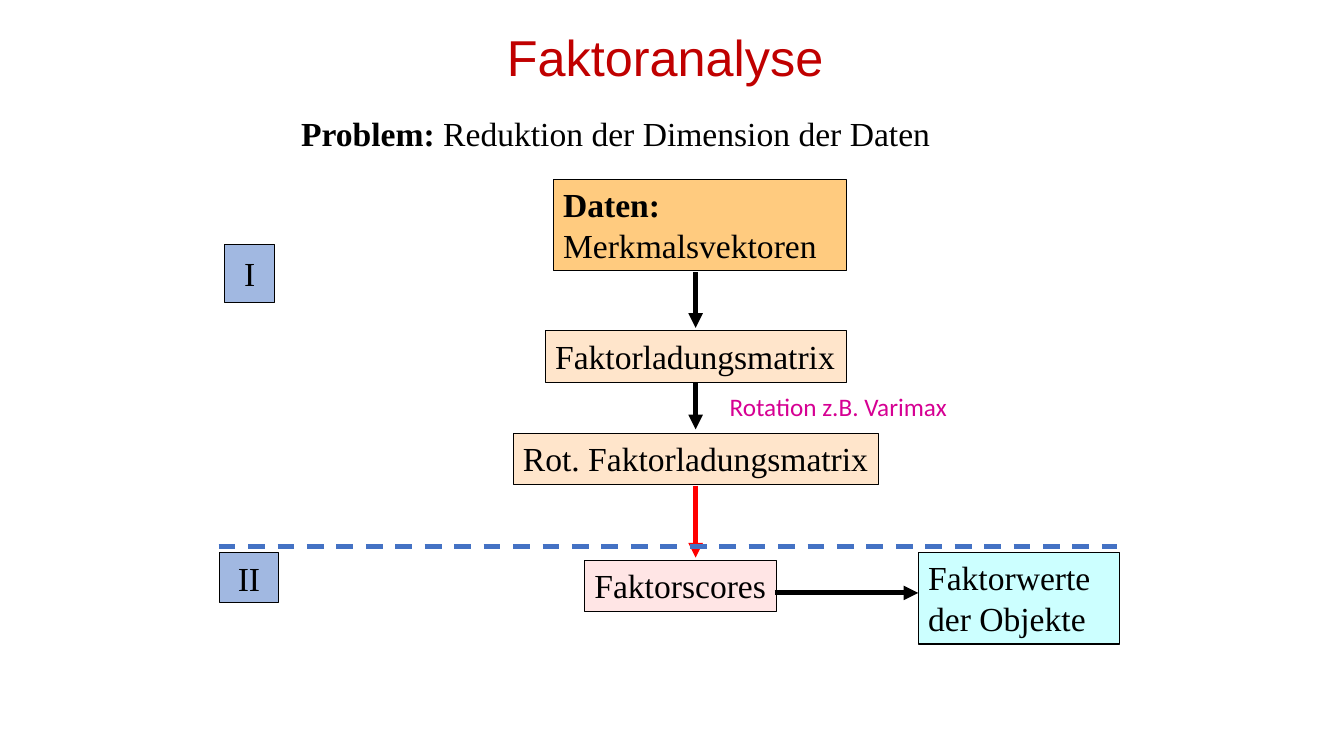
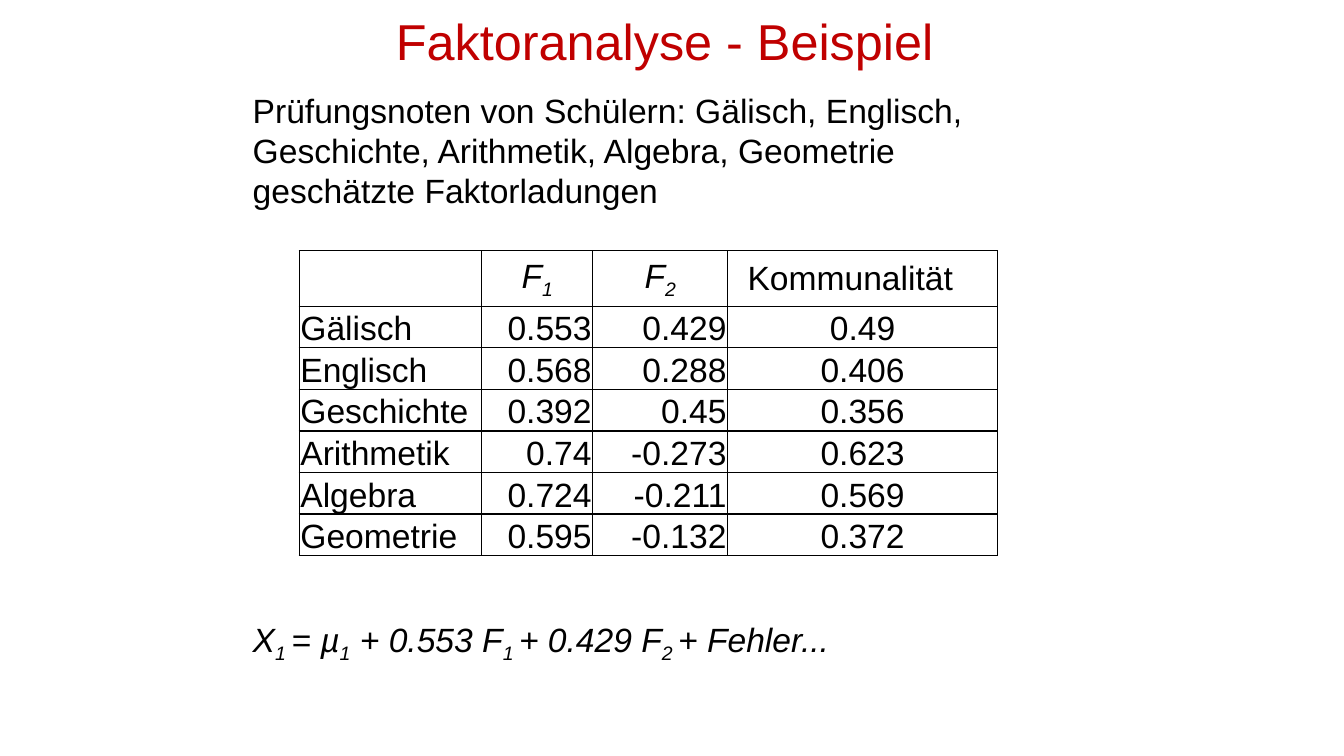
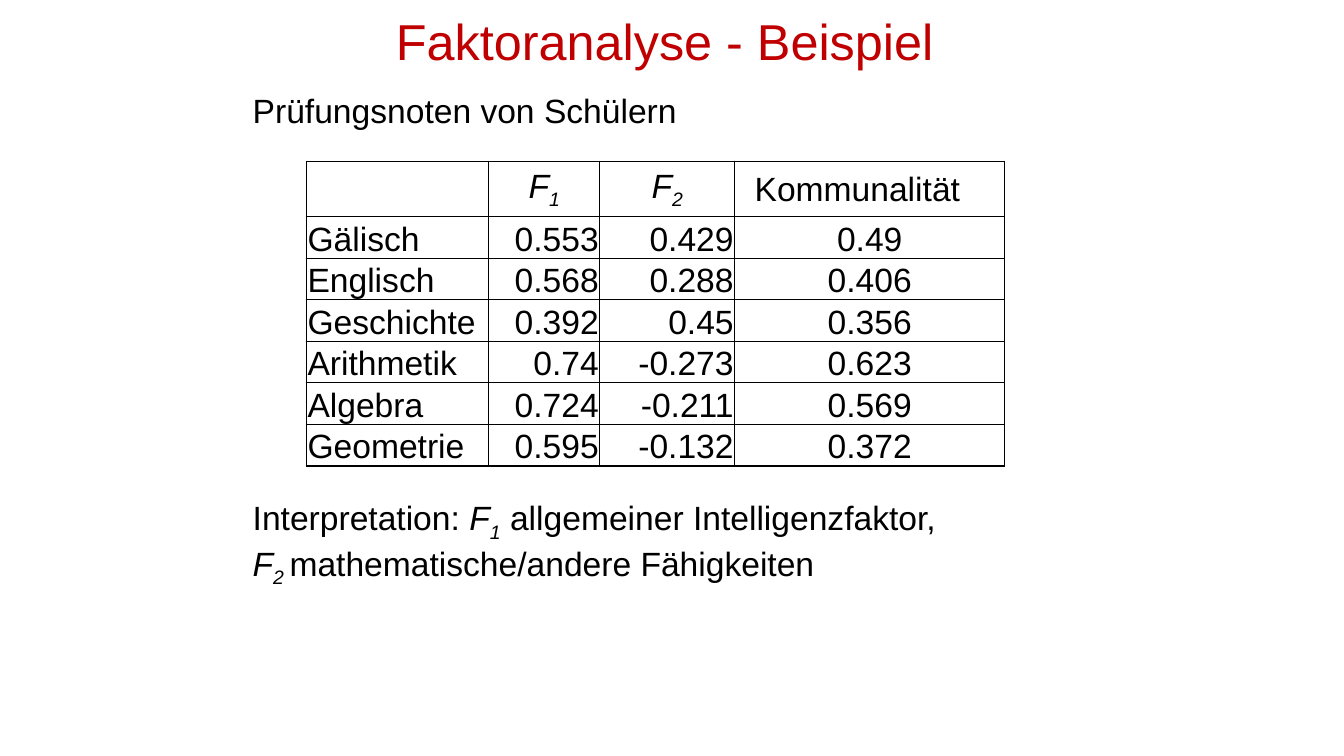
from lxml.etree import SubElement
from pptx import Presentation
from pptx.dml.color import RGBColor
from pptx.enum.dml import MSO_LINE
from pptx.enum.shapes import MSO_CONNECTOR, MSO_SHAPE
from pptx.enum.text import MSO_ANCHOR, MSO_AUTO_SIZE, PP_ALIGN
from pptx.oxml.ns import qn
from pptx.util import Cm, Pt

BLACK, RED, BLUE = "000000", "FF0000", "4472C4"
TITLE_RED, MAGENTA = "C00000", "D60093"
ORANGE, PEACH, PINK, CYAN = "FF9900", "FFCC99", "FFCCCC", "CCFFFF"
SANS, SERIF, LABEL_FONT = "Arial", "Times New Roman", "Calibri"
LEFT, CENTER, RIGHT = PP_ALIGN.LEFT, PP_ALIGN.CENTER, PP_ALIGN.RIGHT

FLOW_X = 17.53
BODY_LEFT, BODY_WIDTH = 6.12, 22.4
COLUMN_WIDTHS = [4.6, 2.8, 3.4, 6.8]
COLUMN_ALIGNS = [LEFT, RIGHT, RIGHT, CENTER]
HEADER_HEIGHT, ROW_HEIGHT = 1.4, 1.04

F1 = [("F", "i"), ("1", "is")]
F2 = [("F", "i"), ("2", "is")]
LOADINGS = [
    ("Gälisch", "0.553", "0.429", "0.49"),
    ("Englisch", "0.568", "0.288", "0.406"),
    ("Geschichte", "0.392", "0.45", "0.356"),
    ("Arithmetik", "0.74", "-0.273", "0.623"),
    ("Algebra", "0.724", "-0.211", "0.569"),
    ("Geometrie", "0.595", "-0.132", "0.372"),
]


def rgb(value):
    return RGBColor.from_string(value)


def write(frame, paragraphs, size=24, font=SANS, color=BLACK, align=LEFT,
          spacing=None):
    """Fill a text frame; each paragraph is a list of (text, marks).

    Marks: b is bold, i is italic, s is subscript.
    """
    for index, runs in enumerate(paragraphs):
        paragraph = frame.paragraphs[0] if index == 0 else frame.add_paragraph()
        paragraph.alignment = align
        if spacing:
            paragraph.line_spacing = spacing
        for text, marks in runs:
            run = paragraph.add_run()
            run.text = text
            run.font.size = Pt(size)
            run.font.name = font
            run.font.color.rgb = rgb(color)
            run.font.bold = "b" in marks
            run.font.italic = "i" in marks
            if "s" in marks:
                run.font._element.set("baseline", "-25000")


def plain(text):
    return [[(text, "")]]


def add_text(slide, area, paragraphs, wrap=True, anchor=MSO_ANCHOR.TOP, **style):
    frame = slide.shapes.add_textbox(*map(Cm, area)).text_frame
    frame.word_wrap = wrap
    frame.vertical_anchor = anchor
    write(frame, paragraphs, **style)


def add_title(slide, text, area=(4.93, 0.33, 24, 1.57)):
    add_text(slide, area, plain(text), anchor=MSO_ANCHOR.MIDDLE, size=36,
             color=TITLE_RED, align=CENTER, spacing=0.9)


def add_box(slide, area, paragraphs, fill, opacity=50, wrap=False,
            anchor=MSO_ANCHOR.TOP, align=LEFT):
    box = slide.shapes.add_shape(MSO_SHAPE.RECTANGLE, *map(Cm, area))
    box.shadow.inherit = False
    box.fill.solid()
    box.fill.fore_color.rgb = rgb(fill)
    if opacity < 100:
        color = box._element.spPr.find(qn("a:solidFill"))[0]
        SubElement(color, qn("a:alpha"), val=str(opacity * 1000))
    box.line.color.rgb = rgb(BLACK)
    box.line.width = Pt(0.75)
    frame = box.text_frame
    frame.word_wrap = wrap
    frame.vertical_anchor = anchor
    if anchor == MSO_ANCHOR.TOP:
        frame.auto_size = MSO_AUTO_SIZE.SHAPE_TO_FIT_TEXT
    write(frame, paragraphs, font=SERIF, align=align)


def add_line(slide, ends, color=BLACK, width=3.5, arrow=True):
    line = slide.shapes.add_connector(MSO_CONNECTOR.STRAIGHT, *map(Cm, ends))
    line.line.color.rgb = rgb(color)
    line.line.width = Pt(width)
    if arrow:
        SubElement(line.line._get_or_add_ln(), qn("a:tailEnd"), type="triangle")
    else:
        line.line.dash_style = MSO_LINE.DASH
    SubElement(line._element.spPr, qn("a:effectLst"))


def add_borders(cell):
    properties = cell._tc.get_or_add_tcPr()
    for side in ("lnL", "lnR", "lnT", "lnB"):
        border = SubElement(properties, qn(f"a:{side}"), w=str(Pt(1)))
        fill = SubElement(border, qn("a:solidFill"))
        SubElement(fill, qn("a:srgbClr"), val=BLACK)


def format_cell(cell, anchor, indent=0.03):
    add_borders(cell)
    cell.fill.background()
    cell.vertical_anchor = anchor
    cell.margin_left = Cm(indent)
    cell.margin_right = cell.margin_top = Cm(0.03)
    cell.margin_bottom = 0


def add_loadings_table(slide, left, top):
    height = HEADER_HEIGHT + ROW_HEIGHT * len(LOADINGS)
    table = slide.shapes.add_table(
        len(LOADINGS) + 1, len(COLUMN_WIDTHS),
        Cm(left), Cm(top), Cm(sum(COLUMN_WIDTHS)), Cm(height)).table
    table.first_row = table.horz_banding = False
    for column, width in zip(table.columns, COLUMN_WIDTHS):
        column.width = Cm(width)
    for index, row in enumerate(table.rows):
        row.height = Cm(ROW_HEIGHT if index else HEADER_HEIGHT)

    headings = [([], LEFT, 0.03), (F1, CENTER, 0.03), (F2, CENTER, 0.03),
                ([("Kommunalität", "")], LEFT, 0.5)]
    for cell, (runs, align, indent) in zip(table.rows[0].cells, headings):
        format_cell(cell, MSO_ANCHOR.MIDDLE, indent)
        write(cell.text_frame, [runs], align=align)
    for index, values in enumerate(LOADINGS, start=1):
        for cell, value, align in zip(table.rows[index].cells, values, COLUMN_ALIGNS):
            format_cell(cell, MSO_ANCHOR.BOTTOM)
            write(cell.text_frame, plain(value), align=align)


def build_overview(slide):
    add_title(slide, "Faktoranalyse ", (5.51, 0.53, 22.86, 1.96))
    add_text(slide, (7.34, 2.72, 16.36, 1.27),
             [[("Problem:", "b"), (" Reduktion der Dimension der Daten", "")]],
             wrap=False, font=SERIF)

    add_box(slide, (13.94, 4.52, 7.39, 2.31),
            [[("Daten:", "b")], [("Merkmalsvektoren", "")]], ORANGE, wrap=True)
    add_box(slide, (13.74, 8.33, 7.59, 1.3), plain("Faktorladungsmatrix"), PEACH)
    add_box(slide, (12.93, 10.92, 9.22, 1.3), plain("Rot. Faktorladungsmatrix"), PEACH)
    add_box(slide, (14.73, 14.12, 4.85, 1.3), plain("Faktorscores"), PINK)
    add_box(slide, (23.14, 13.92, 5.08, 2.31), plain("Faktorwerte der Objekte"),
            CYAN, opacity=100, wrap=True)
    for area, phase in (((5.66, 6.15, 1.27, 1.47), "I"),
                        ((5.54, 13.92, 1.47, 1.27), "II")):
        add_box(slide, area, plain(phase), BLUE, anchor=MSO_ANCHOR.MIDDLE, align=CENTER)

    for start, end, color in ((6.86, 8.26, BLACK), (9.63, 10.82, BLACK),
                              (12.24, 14.05, RED)):
        add_line(slide, (FLOW_X, start, FLOW_X, end), color)
    add_line(slide, (19.53, 14.94, 23.14, 14.94))
    add_line(slide, (5.51, 13.77, 28.14, 13.77), BLUE, width=3, arrow=False)
    add_text(slide, (18.14, 9.73, 6.83, 1.02), plain("Rotation z.B. Varimax"),
             wrap=False, size=18, font=LABEL_FONT, color=MAGENTA)


def build_example(slide, intro, table_place, conclusion_top, conclusion):
    add_title(slide, "Faktoranalyse - Beispiel ")
    add_text(slide, (BODY_LEFT, 2.13, BODY_WIDTH, 1.3 * len(intro)),
             [[(text, "")] for text in intro])
    add_loadings_table(slide, *table_place)
    add_text(slide, (BODY_LEFT, conclusion_top, BODY_WIDTH, 1.3 * len(conclusion)),
             conclusion)


def main():
    deck = Presentation()
    deck.slide_width, deck.slide_height = Cm(33.87), Cm(19.05)
    overview, example, interpretation = (
        deck.slides.add_slide(deck.slide_layouts[6]) for _ in range(3))

    build_overview(overview)
    build_example(
        example,
        ["Prüfungsnoten von Schülern: Gälisch, Englisch, Geschichte, "
         "Arithmetik, Algebra, Geometrie", "geschätzte Faktorladungen"],
        (7.54, 6.32), 15.47,
        [[("X", "i"), ("1 ", "is"), ("= µ", "i"), ("1", "is"),
          (" + 0.553 F", "i"), ("1 ", "is"), ("+ 0.429 F", "i"),
          ("2 ", "is"), ("+ Fehler...", "i")]])
    build_example(
        interpretation, ["Prüfungsnoten von Schülern"], (7.72, 4.06), 12.4,
        [[("Interpretation: ", ""), *F1, (" allgemeiner Intelligenzfaktor,", "")],
         [("F", "i"), ("2 ", "is"), ("mathematische/andere Fähigkeiten", "")]])
    deck.save("out.pptx")


if __name__ == "__main__":
    main()
